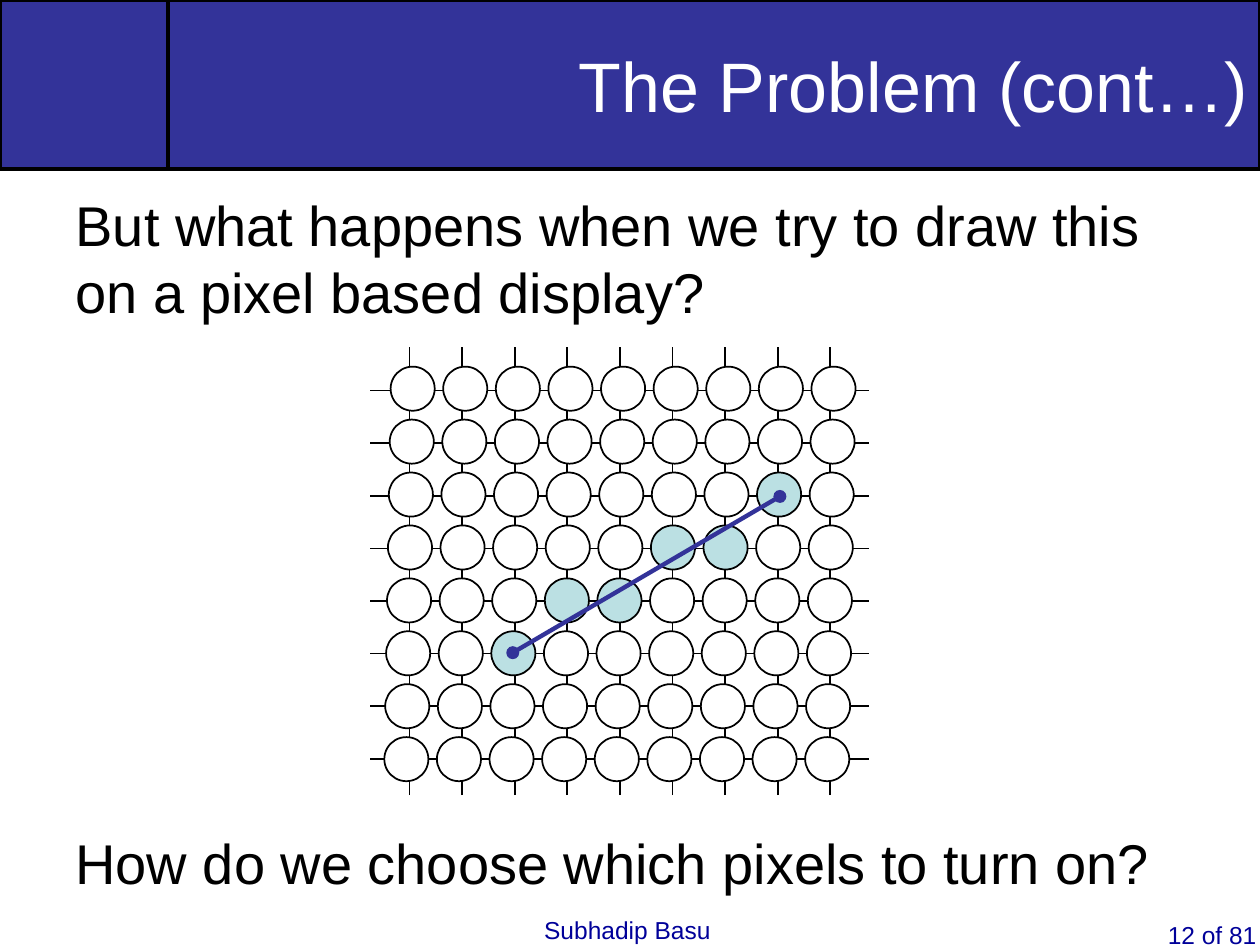
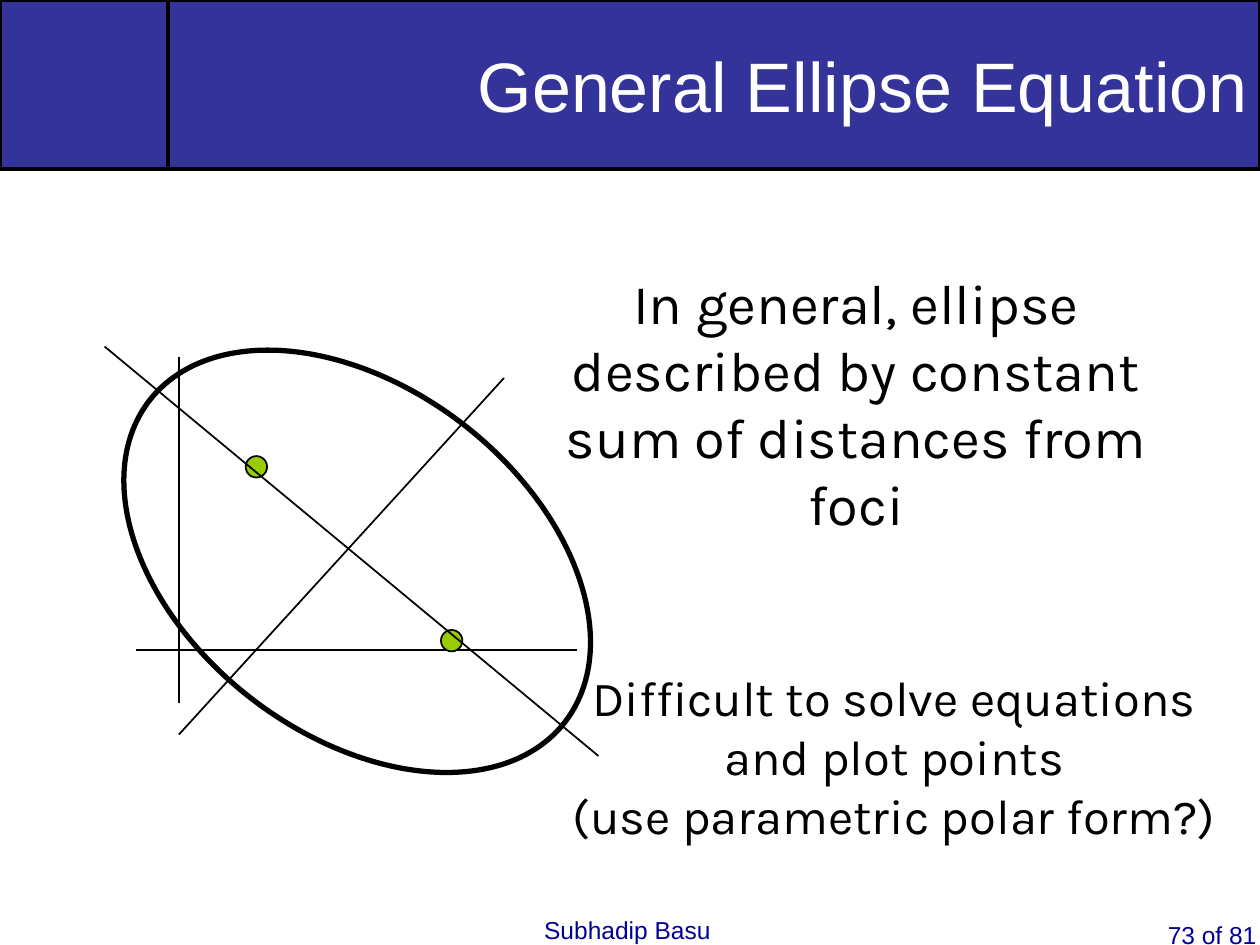
from lxml import etree
from pptx import Presentation
from pptx.dml.color import RGBColor
from pptx.enum.shapes import MSO_CONNECTOR, MSO_SHAPE
from pptx.enum.text import MSO_ANCHOR, MSO_AUTO_SIZE, PP_ALIGN
from pptx.oxml.ns import qn
from pptx.util import Inches, Pt

STRAIGHT, RECTANGLE, OVAL = MSO_CONNECTOR.STRAIGHT, MSO_SHAPE.RECTANGLE, MSO_SHAPE.OVAL
LEFT, CENTER, RIGHT = PP_ALIGN.LEFT, PP_ALIGN.CENTER, PP_ALIGN.RIGHT
TOP, MIDDLE = MSO_ANCHOR.TOP, MSO_ANCHOR.MIDDLE
NO_AUTOFIT = MSO_AUTO_SIZE.NONE

BLACK, WHITE, BAND, FOOTER = "000000", "FFFFFF", "333399", "000099"
LIT, FOCUS = "BBE0E3", "99CC00"
TITLE_AND_BODY, TITLE_ONLY = 1, 5
PAGE_COUNT = 81
SLIDE_WIDTH, BAND_HEIGHT = 10, 1.34
CORNER_WIDTH = SLIDE_WIDTH * 2 / 15
PIXEL_ROWS, PIXEL_COLUMNS = 8, 9
PIXEL_SIZE, ROW_PITCH = 0.35, 0.42
COLUMN_PITCH = 3.34 / (PIXEL_COLUMNS - 1)
LIT_PIXELS = {(2, 7), (3, 5), (3, 6), (4, 3), (4, 4), (5, 2)}


def color(value):
    """Turn a hex string into a colour."""
    return RGBColor.from_string(value)


def place(shape, left, top, width, height):
    """Move and size a shape, in inches."""
    shape.left, shape.top = Inches(left), Inches(top)
    shape.width, shape.height = Inches(width), Inches(height)


def paint(shape, fill, line_width):
    """Give a shape its fill, or none, and a black outline."""
    if fill:
        shape.fill.solid()
        shape.fill.fore_color.rgb = color(fill)
    else:
        shape.fill.background()
    shape.line.color.rgb = color(BLACK)
    shape.line.width = Pt(line_width)


def add_outline_shape(slide, kind, left, top, width, height, fill=None, line_width=1):
    """Add a preset shape with a black outline."""
    shape = slide.shapes.add_shape(
        kind, Inches(left), Inches(top), Inches(width), Inches(height))
    shape.shadow.inherit = False
    paint(shape, fill, line_width)
    return shape


def add_line(slide, start, end, line_color=BLACK, width=1, oval_ends=False):
    """Add a straight line, optionally with round ends."""
    connector = slide.shapes.add_connector(
        STRAIGHT, *(Inches(value) for value in (*start, *end)))
    connector.line.color.rgb = color(line_color)
    connector.line.width = Pt(width)
    properties = connector.element.spPr
    if oval_ends:
        for name in ("a:headEnd", "a:tailEnd"):
            etree.SubElement(properties.find(qn("a:ln")), qn(name), type="oval")
    etree.SubElement(properties, qn("a:effectLst"))


def write(shape, text, size, text_color=BLACK, font="Arial", align=LEFT,
          anchor=TOP, wrap=True, plain=False):
    """Fill a shape with one formatted paragraph, plain for no bullet or indent."""
    frame = shape.text_frame
    frame.text = text
    frame.word_wrap = wrap
    frame.auto_size = NO_AUTOFIT
    frame.vertical_anchor = anchor
    paragraph = frame.paragraphs[0]
    paragraph.alignment = align
    paragraph.space_before = Pt(0)
    if plain:
        properties = paragraph._p.get_or_add_pPr()
        properties.set("marL", "0")
        properties.set("indent", "0")
        etree.SubElement(properties, qn("a:buNone"))
    paragraph.font.size = Pt(size)
    paragraph.font.name = font
    paragraph.font.color.rgb = color(text_color)


def add_text(slide, box, text, size, **style):
    """Add a text box at left, top, width, height."""
    shape = slide.shapes.add_textbox(*(Inches(value) for value in box))
    write(shape, text, size, **style)
    return shape


def add_footer(slide, top, page):
    """Add the author and the page number."""
    add_text(slide, (4.22, top, 1.52, 0.29), "Subhadip Basu", 14,
             text_color=FOOTER, wrap=False)
    number = add_text(slide, (9.17, top + 0.04, 0.83, 0.25),
                      f"{page} of {PAGE_COUNT}", 14, text_color=FOOTER, wrap=False)
    number.text_frame.margin_right = 0


def add_framed_slide(presentation, layout, title, page):
    """Add a slide with the title band and the footer."""
    slide = presentation.slides.add_slide(presentation.slide_layouts[layout])
    place(slide.shapes.title, CORNER_WIDTH, 0, SLIDE_WIDTH - CORNER_WIDTH, BAND_HEIGHT)
    paint(slide.shapes.title, BAND, 2)
    write(slide.shapes.title, title, 40, text_color=WHITE, align=RIGHT, anchor=MIDDLE)
    add_outline_shape(slide, RECTANGLE, 0, 0, CORNER_WIDTH, BAND_HEIGHT, BAND, 2)
    add_footer(slide, 7.21, page)
    return slide


def add_body(slide, box, text):
    """Fill the body placeholder with plain text without a bullet."""
    body = slide.placeholders[1]
    place(body, *box)
    write(body, text, 32, plain=True)


def add_pixel_grid(slide, left, top, width, height):
    """Draw the pixel display with an ideal line over its lit pixels."""
    for column in range(PIXEL_COLUMNS):
        x = left + 0.31 + column * COLUMN_PITCH
        add_line(slide, (x, top + height), (x, top))
    for row in range(PIXEL_ROWS):
        y = top + 0.35 + row * COLUMN_PITCH
        add_line(slide, (left, y), (left + width, y))
    for row in range(PIXEL_ROWS):
        drift = 0.05 * row / (PIXEL_ROWS - 1)
        for column in range(PIXEL_COLUMNS):
            add_outline_shape(
                slide, OVAL, left + 0.16 - drift + column * COLUMN_PITCH,
                top + 0.16 + row * ROW_PITCH, PIXEL_SIZE, PIXEL_SIZE,
                LIT if (row, column) in LIT_PIXELS else WHITE)
    add_line(slide, (left + 1.13, top + 2.43), (left + 3.25, top + 1.19),
             BAND, 2.5, oval_ends=True)


def add_ellipse_diagram(slide, left, top):
    """Draw a tilted ellipse with its foci, its own axes and the plot axes."""
    add_line(slide, (left + 0.67, top + 0.08), (left + 0.67, top + 2.83))
    add_line(slide, (left + 0.33, top + 2.41), (left + 3.83, top + 2.41))
    ellipse = add_outline_shape(slide, OVAL, left, top + 0.33, 4.17, 2.75, line_width=3)
    ellipse.rotation = 37.7
    for x, y in ((1.2, 0.87), (2.75, 2.25)):
        add_outline_shape(slide, OVAL, left + x, top + y, 0.17, 0.17, FOCUS)
    add_line(slide, (left + 0.08, top), (left + 4, top + 3.25))
    add_line(slide, (left + 0.67, top + 3.08), (left + 3.25, top + 0.25))


def build_problem_slide(presentation):
    """Build the slide on drawing a line with pixels."""
    slide = add_framed_slide(presentation, TITLE_AND_BODY, "The Problem (cont…)", 12)
    add_body(slide, (0.5, 1.46, 9, 1.29),
             "But what happens when we try to draw this on a pixel based display?")
    add_pixel_grid(slide, 2.94, 2.75, 3.96, 3.56)
    add_text(slide, (0.5, 6.53, 9, 0.76), "How do we choose which pixels to turn on?", 32)


def build_ellipse_slide(presentation):
    """Build the slide on the general ellipse."""
    slide = add_framed_slide(presentation, TITLE_ONLY, "General Ellipse Equation", 73)
    add_ellipse_diagram(slide, 0.75, 2.75)
    style = {"font": "Karla", "align": CENTER}
    add_text(slide, (4.08, 2.08, 5.43, 2.24),
             "In general, ellipse described by constant sum of distances from foci",
             32, **style)
    add_text(slide, (4.42, 5.25, 5.35, 1.97),
             "Difficult to solve equations and plot points\v(use parametric polar form?)",
             28, **style)


def main():
    """Build and save the presentation."""
    presentation = Presentation()
    presentation.slide_width, presentation.slide_height = Inches(SLIDE_WIDTH), Inches(7.5)
    build_problem_slide(presentation)
    build_ellipse_slide(presentation)
    presentation.save("out.pptx")


if __name__ == "__main__":
    main()
